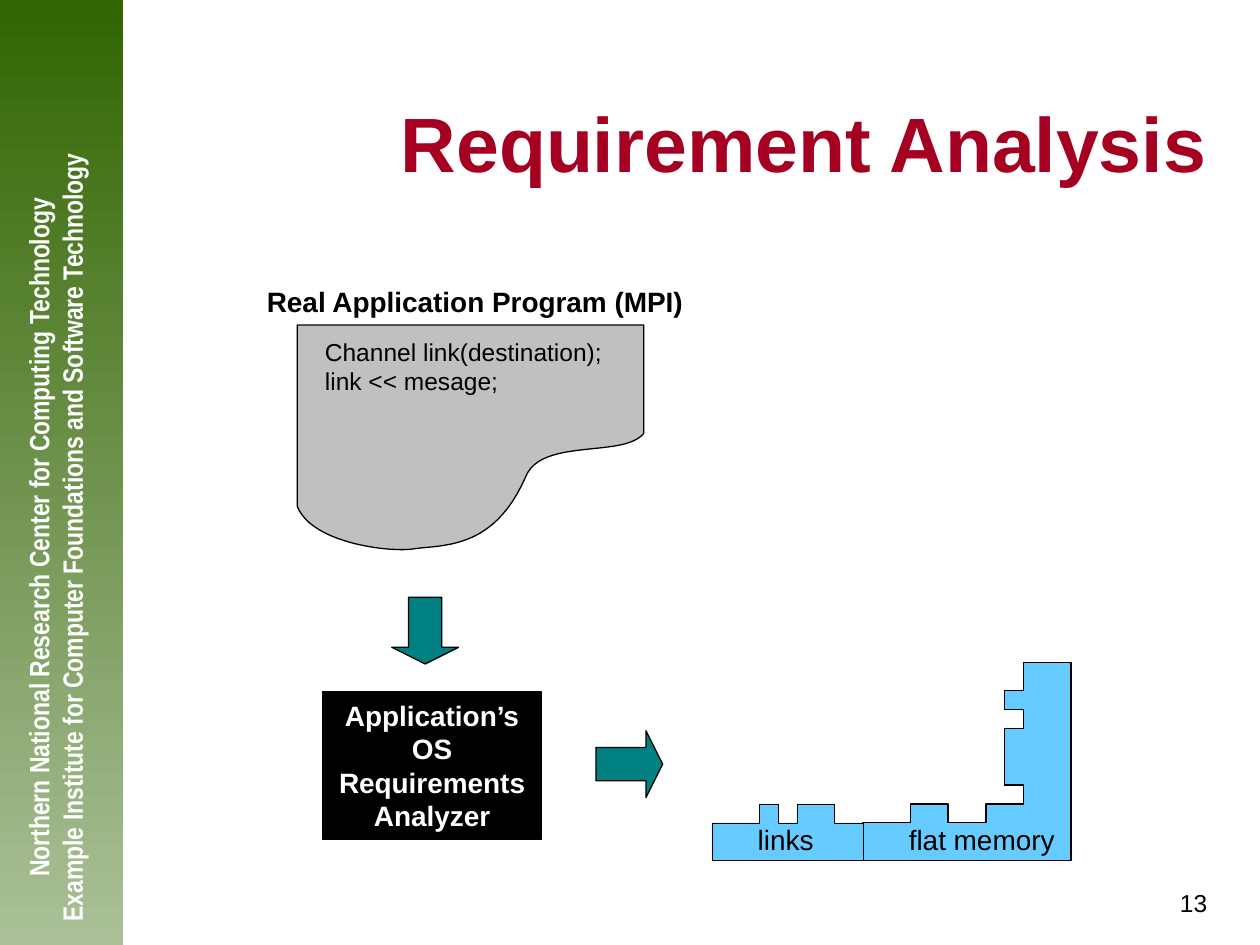
from pptx import Presentation
from pptx.dml.color import RGBColor
from pptx.enum.shapes import MSO_SHAPE
from pptx.enum.text import MSO_ANCHOR, PP_ALIGN
from pptx.util import Inches, Pt

RECT, RIGHT_ARROW, DOWN_ARROW = (
    MSO_SHAPE.RECTANGLE, MSO_SHAPE.RIGHT_ARROW, MSO_SHAPE.DOWN_ARROW)
LEFT, CENTER, RIGHT = PP_ALIGN.LEFT, PP_ALIGN.CENTER, PP_ALIGN.RIGHT
TOP, MIDDLE = MSO_ANCHOR.TOP, MSO_ANCHOR.MIDDLE

BLACK = RGBColor(0x00, 0x00, 0x00)
WHITE = RGBColor(0xFF, 0xFF, 0xFF)
CRIMSON = RGBColor(0xA5, 0x00, 0x21)
TEAL = RGBColor(0x00, 0x80, 0x80)
SKY = RGBColor(0x66, 0xCC, 0xFF)
GRAY = RGBColor(0xC0, 0xC0, 0xC0)
DARK_GREEN = RGBColor(0x31, 0x65, 0x01)
PALE_GREEN = RGBColor(0xAB, 0xC0, 0x98)

WIDTH, HEIGHT = 10, 7.5
SIDEBAR_WIDTH = 0.98
ARROW_SIZE = 0.53
ARROWS = [(RIGHT_ARROW, 4.73, 5.8), (DOWN_ARROW, 3.11, 4.74)]

ANALYZER_BOX = (2.56, 5.49, 1.74, 1.17)
ANALYZER_LINES = ["Application’s", "OS Requirements", "Analyzer"]
SIDEBAR_LINES = [
    "Northern National Research Center for Computing Technology",
    "Example Institute for Computer Foundations and Software Technology",
]

TEXTS = [
    (SIDEBAR_LINES, (-2.77, 3.95, 6.41, 0.63), CENTER,
     dict(name="Arial Narrow", size=Pt(16), bold=True, color=WHITE),
     dict(rotation=270, anchor=TOP)),
    (["flat memory"], (7.11, 6.48, 1.36, 0.37), RIGHT, dict(size=Pt(16)), dict(wrap=False)),
    (["links"], (5.91, 6.48, 0.65, 0.37), CENTER, dict(size=Pt(16)), dict(wrap=False)),
    (["Requirement Analysis"], (1.3, 0.5, 8.38, 1.25), RIGHT,
     dict(size=Pt(44), bold=True, color=CRIMSON), {}),
    (["Real Application Program (MPI)"], (1.98, 2.21, 3.58, 0.37), CENTER,
     dict(size=Pt(16), bold=True), {}),
    (["Channel link(destination);", "link << mesage;"], (2.48, 2.62, 2.41, 0.57), LEFT,
     dict(size=Pt(14)), dict(wrap=False)),
    (["13"], (7.6, 7, 2.08, 0.33), RIGHT, dict(size=Pt(14)), {}),
]

UNIT = 0.15
BLOCKS_LEFT, BLOCKS_BOTTOM = 5.65, 6.83
MEMORY_BLOCK = [
    (8, 2), (8, 0), (19, 0), (19, 10.5), (16.5, 10.5), (16.5, 9), (15.5, 9),
    (15.5, 8), (16.5, 8), (16.5, 7), (15.5, 7), (15.5, 4), (16.5, 4), (16.5, 3),
    (14.5, 3), (14.5, 2), (12.5, 2), (12.5, 3), (10.5, 3), (10.5, 2),
]
LINKS_BLOCK = [
    (0, 2), (0, 0), (8, 0), (8, 2), (6.5, 2), (6.5, 3), (4.5, 3), (4.5, 2),
    (3.5, 2), (3.5, 3), (2.5, 3), (2.5, 2),
]
BLOCKS = [(MEMORY_BLOCK, 0.75), (LINKS_BLOCK, 0.25)]

PAGE_TOP = [(2.36, 2.58), (5.11, 2.58), (5.11, 3.44)]
PAGE_CURVES = [
    [(4.95, 3.64), (4.29, 3.47), (4.17, 3.79)],
    [(3.91, 4.38), (3.5, 4.32), (3.26, 4.36)],
    [(3.04, 4.38), (2.47, 4.3), (2.36, 4.02)],
]
CURVE_STEPS = 24


def curve_points(start, curve):
    controls = [start, *curve]
    for i in range(1, CURVE_STEPS + 1):
        t = i / CURVE_STEPS
        weights = ((1 - t) ** 3, 3 * t * (1 - t) ** 2, 3 * t * t * (1 - t), t ** 3)
        yield tuple(sum(w * c[axis] for w, c in zip(weights, controls)) for axis in (0, 1))


def paint(s, color, line_width=0.75):
    s.shadow.inherit = False
    s.fill.solid()
    s.fill.fore_color.rgb = color
    s.line.color.rgb = BLACK
    s.line.width = Pt(line_width)


def add_shape(slide, kind, box):
    return slide.shapes.add_shape(kind, *map(Inches, box))


def add_outline(slide, points, color, line_width=0.75):
    start, *rest = [(Inches(x), Inches(y)) for x, y in points]
    builder = slide.shapes.build_freeform(*start, scale=1.0)
    builder.add_line_segments(rest, close=True)
    paint(builder.convert_to_shape(), color, line_width)


def write(s, lines, align, font, wrap=True, anchor=MIDDLE):
    tf = s.text_frame
    tf.word_wrap = wrap
    tf.vertical_anchor = anchor
    values = {"name": "Arial", "color": BLACK, **font}
    color = values.pop("color")
    for i, line in enumerate(lines):
        p = tf.add_paragraph() if i else tf.paragraphs[0]
        p.alignment = align
        r = p.add_run()
        r.text = line
        r.font.color.rgb = color
        for key, value in values.items():
            setattr(r.font, key, value)


def add_sidebar(slide):
    s = add_shape(slide, RECT, (0, 0, SIDEBAR_WIDTH, HEIGHT))
    s.shadow.inherit = False
    s.line.fill.background()
    s.fill.gradient()
    s.fill.gradient_angle = 270
    for stop, color, position in zip(s.fill.gradient_stops, (DARK_GREEN, PALE_GREEN), (0, 1)):
        stop.color.rgb = color
        stop.position = position


def main():
    prs = Presentation()
    prs.slide_width, prs.slide_height = Inches(WIDTH), Inches(HEIGHT)
    slide = prs.slides.add_slide(prs.slide_layouts[6])

    add_sidebar(slide)

    for cells, line_width in BLOCKS:
        points = [(BLOCKS_LEFT + x * UNIT, BLOCKS_BOTTOM - y * UNIT) for x, y in cells]
        add_outline(slide, points, SKY, line_width)

    s = add_shape(slide, RECT, ANALYZER_BOX)
    paint(s, BLACK)
    write(s, ANALYZER_LINES, CENTER, dict(size=Pt(16), bold=True, color=WHITE))

    for kind, x, y in ARROWS:
        s = add_shape(slide, kind, (x, y, ARROW_SIZE, ARROW_SIZE))
        s.adjustments[0], s.adjustments[1] = 0.5, 0.25
        paint(s, TEAL)

    page = list(PAGE_TOP)
    for curve in PAGE_CURVES:
        page.extend(curve_points(page[-1], curve))
    add_outline(slide, page, GRAY)

    for lines, box, align, font, frame in TEXTS:
        s = slide.shapes.add_textbox(*map(Inches, box))
        options = dict(frame)
        s.rotation = options.pop("rotation", 0)
        write(s, lines, align, font, **options)

    prs.save("out.pptx")


if __name__ == "__main__":
    main()
